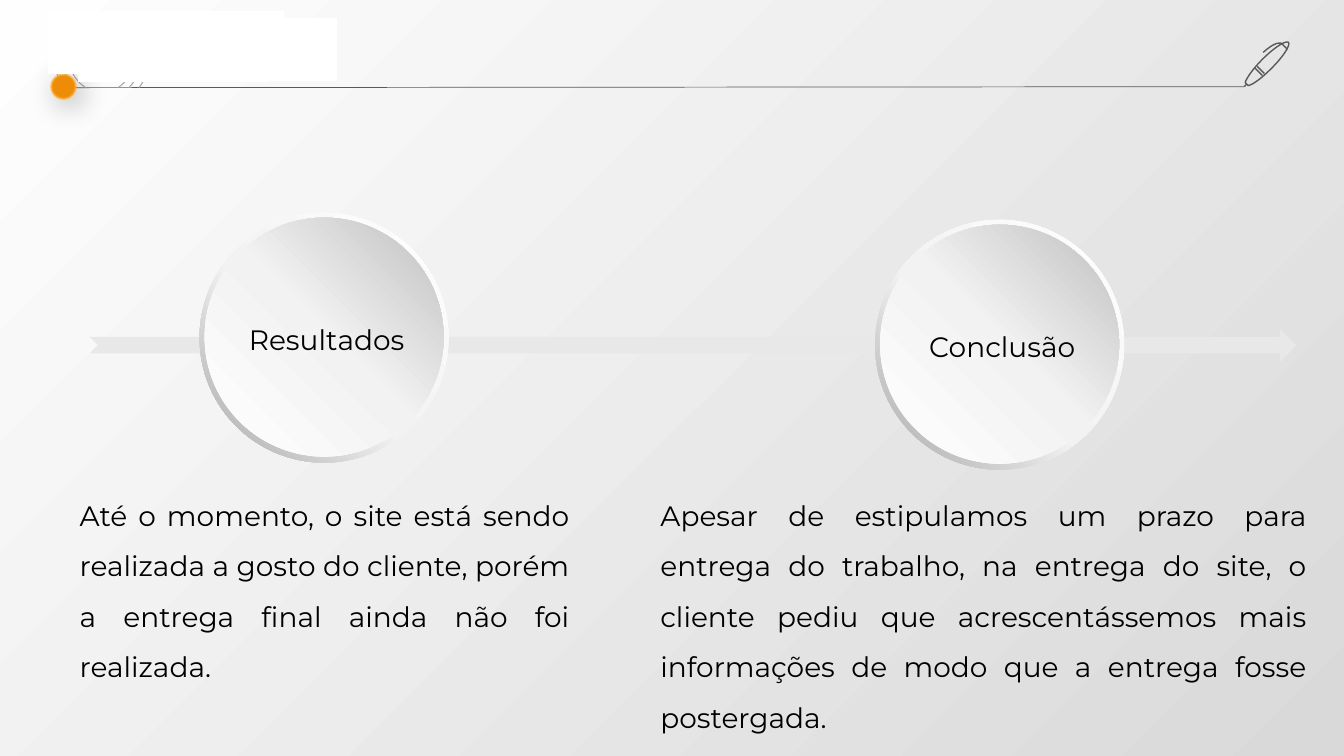
from lxml import etree
from pptx import Presentation
from pptx.dml.color import RGBColor
from pptx.enum.shapes import MSO_CONNECTOR, MSO_SHAPE
from pptx.enum.text import PP_ALIGN
from pptx.oxml.ns import qn
from pptx.util import Inches, Pt

STRAIGHT = MSO_CONNECTOR.STRAIGHT
OVAL = MSO_SHAPE.OVAL
DONUT = MSO_SHAPE.DONUT
RECTANGLE = MSO_SHAPE.RECTANGLE
NOTCHED_ARROW = MSO_SHAPE.NOTCHED_RIGHT_ARROW
CENTER = PP_ALIGN.CENTER
JUSTIFY = PP_ALIGN.JUSTIFY

BLACK = RGBColor(0x00, 0x00, 0x00)
WHITE = RGBColor(0xFF, 0xFF, 0xFF)
NEAR_WHITE = RGBColor(0xFE, 0xFE, 0xFE)
PALE = RGBColor(0xF2, 0xF2, 0xF2)
ARROW_GRAY = RGBColor(0xE8, 0xE8, 0xE8)
LIGHT_GRAY = RGBColor(0xD9, 0xD9, 0xD9)
SILVER = RGBColor(0xBF, 0xBF, 0xBF)
GRAY = RGBColor(0xA6, 0xA6, 0xA6)
DARK_GRAY = RGBColor(0x59, 0x59, 0x59)
ORANGE = RGBColor(0xEF, 0x8C, 0x07)
LIGHT_ORANGE = RGBColor(0xFF, 0xAB, 0x2F)

UNITS = 1000


def add_child(parent, tag, **attributes):
    child = etree.SubElement(parent, qn(tag))
    for name, value in attributes.items():
        child.set(name, str(value))
    return child


def bend_strokes(shape):
    path = shape.element.find(".//" + qn("a:path"))
    for move in path.findall(qn("a:moveTo")):
        segments = []
        following = move.getnext()
        while following is not None and following.tag == qn("a:lnTo"):
            segments.append(following)
            following = following.getnext()
        if len(segments) % 3:
            continue
        for index in range(0, len(segments), 3):
            curve = etree.Element(qn("a:cubicBezTo"))
            segments[index].addprevious(curve)
            for segment in segments[index:index + 3]:
                curve.append(segment[0])
                path.remove(segment)


class SlideBuilder:
    font_name = "Montserrat"
    font_size = Pt(20)

    def __init__(self, presentation):
        self.slide = presentation.slides.add_slide(presentation.slide_layouts[6])

    def gradient(self, owner, fill, stops, angle=None):
        fill.solid()
        solid = owner.find(".//" + qn("a:solidFill"))
        gradient = etree.Element(qn("a:gradFill"), rotWithShape="1")
        stop_list = add_child(gradient, "a:gsLst")
        for position, color in stops:
            stop = add_child(stop_list, "a:gs", pos=position * 1000)
            add_child(stop, "a:srgbClr", val=color)
        if angle is None:
            path = add_child(gradient, "a:path", path="circle")
            add_child(path, "a:fillToRect", l=100000, t=100000)
        else:
            add_child(gradient, "a:lin", ang=angle * 60000, scaled=0)
        solid.getparent().replace(solid, gradient)

    def background(self, stops):
        self.gradient(self.slide.element, self.slide.background.fill, stops)

    def shape(self, kind, left, top, width, height, fill, line=None, line_width=1, angle=0):
        shape = self.slide.shapes.add_shape(
            kind, Inches(left), Inches(top), Inches(width), Inches(height))
        shape.shadow.inherit = False
        if isinstance(fill, RGBColor):
            shape.fill.solid()
            shape.fill.fore_color.rgb = fill
        else:
            self.gradient(shape.element, shape.fill, fill, angle)
        if line is None:
            shape.line.fill.background()
        else:
            shape.line.color.rgb = line
            shape.line.width = Pt(line_width)
        return shape

    def glow_dot(self, left, top, size):
        dot = self.shape(OVAL, left, top, size, size, ORANGE, LIGHT_ORANGE, 1.75)
        outline_color = dot.element.spPr.find(qn("a:ln")).find(".//" + qn("a:srgbClr"))
        add_child(outline_color, "a:alpha", val=55000)
        effects = dot.element.spPr.find(qn("a:effectLst"))
        shadow = add_child(effects, "a:outerShdw", blurRad=Pt(21), dist=Pt(6),
                           dir=45 * 60000, algn="tl", rotWithShape=0)
        color = add_child(shadow, "a:srgbClr", val=BLACK)
        add_child(color, "a:alpha", val=33000)

    def line(self, start, end, color, width):
        connector = self.slide.shapes.add_connector(
            STRAIGHT, *(Inches(value) for value in start + end))
        connector.line.color.rgb = color
        connector.line.width = Pt(width)
        add_child(connector.element.spPr, "a:effectLst")

    def drawing(self, strokes, color, width):
        builder = None
        for stroke in strokes:
            points = [(x * UNITS, y * UNITS) for x, y in stroke]
            if builder is None:
                builder = self.slide.shapes.build_freeform(*points[0], scale=Inches(1) / UNITS)
            else:
                builder.move_to(*points[0])
            builder.add_line_segments(points[1:], close=False)
        shape = builder.convert_to_shape()
        bend_strokes(shape)
        shape.shadow.inherit = False
        shape.fill.background()
        shape.line.color.rgb = color
        shape.line.width = Pt(width)

    def text(self, text, left, top, width, height, alignment, wrap=True):
        box = self.slide.shapes.add_textbox(
            Inches(left), Inches(top), Inches(width), Inches(height))
        text_frame = box.text_frame
        text_frame.text = text
        text_frame.word_wrap = wrap
        paragraph = text_frame.paragraphs[0]
        paragraph.alignment = alignment
        font = paragraph.runs[0].font
        font.name = self.font_name
        font.size = self.font_size
        font.color.rgb = BLACK
        return text_frame

    def body(self, text, left, width, height):
        text_frame = self.text(text, left, 4.78, width, height, JUSTIFY)
        text_frame.margin_left = text_frame.margin_right = 0
        text_frame.margin_top = text_frame.margin_bottom = 0
        text_frame.paragraphs[0].line_spacing = 1.5

    def medallion(self, title, left, top):
        ring = self.shape(DONUT, left, top, 2.47, 2.48,
                          [(0, WHITE), (55, PALE), (100, GRAY)], angle=135)
        ring.adjustments[0] = 0.049
        self.shape(OVAL, left + 0.05, top + 0.05, 2.37, 2.37,
                   [(0, WHITE), (51, PALE), (100, SILVER)], angle=315)
        self.text(title, left + 0.21, top + 1.04, 2.1, 0.41, CENTER, wrap=False)

    def arc_pair(self, near, middle, far, upper, lower):
        center_x, center_y, half_height = 1.01, 0.52, 0.35
        right = [(near, -half_height), (middle, -upper), (far, -lower), (far, 0),
                 (far, lower), (middle, upper), (near, half_height)]
        self.drawing([[(center_x + side * x, center_y + side * y) for x, y in right]
                      for side in (1, -1)], GRAY, 0.75)

    def pen(self):
        barrel = [(12.78, 0.42),
                  (12.75, 0.4), (12.64, 0.47), (12.52, 0.59),
                  (12.43, 0.68), (12.36, 0.78), (12.35, 0.82),
                  (12.38, 0.85), (12.38, 0.85), (12.38, 0.85),
                  (12.43, 0.84), (12.52, 0.77), (12.61, 0.68),
                  (12.73, 0.56), (12.8, 0.45), (12.78, 0.42)]
        clip = [(12.77, 0.49),
                (12.77, 0.49), (12.74, 0.46), (12.71, 0.43),
                (12.71, 0.43), (12.66, 0.4), (12.53, 0.52)]
        bands = [[(12.52, 0.75), (12.45, 0.68)], [(12.47, 0.66), (12.54, 0.73)]]
        tip = [(12.36, 0.84), (12.34, 0.86)]
        self.drawing([*bands, barrel, tip, clip], DARK_GRAY, 1)


def main():
    presentation = Presentation()
    presentation.slide_width = Inches(13.33)
    presentation.slide_height = Inches(7.5)
    builder = SlideBuilder(presentation)
    builder.background([(0, LIGHT_GRAY), (100, NEAR_WHITE)])

    builder.line((0.64, 0.87), (12.34, 0.86), DARK_GRAY, 0.5)
    builder.pen()
    for arc in ((0.16, 0.27, 0.34, 0.28, 0.15),
                (0.27, 0.35, 0.4, 0.27, 0.14),
                (0.37, 0.44, 0.48, 0.26, 0.13)):
        builder.arc_pair(*arc)
    builder.glow_dot(0.51, 0.74, 0.24)

    builder.body("Até o momento, o site está sendo realizada a gosto do cliente, "
                 "porém a entrega final ainda não foi realizada.", 0.79, 4.86, 1.46)
    builder.shape(NOTCHED_ARROW, 0.89, 3.26, 11.97, 0.33, ARROW_GRAY)
    builder.medallion("Resultados", 1.98, 2.11)
    builder.medallion("Conclusão", 8.68, 2.18)
    for panel in ((0.48, 0.12, 2.33, 0.61), (0.78, 0.59, 1.88, 0.22), (1.01, 0.19, 2.33, 0.61)):
        builder.shape(RECTANGLE, *panel, WHITE, WHITE)
    builder.body("Apesar de estipulamos um prazo para entrega do trabalho, na entrega "
                 "do site, o cliente pediu que acrescentássemos mais informações de modo "
                 "que a entrega fosse postergada.", 6.55, 6.41, 2.13)
    presentation.save("out.pptx")


if __name__ == "__main__":
    main()
